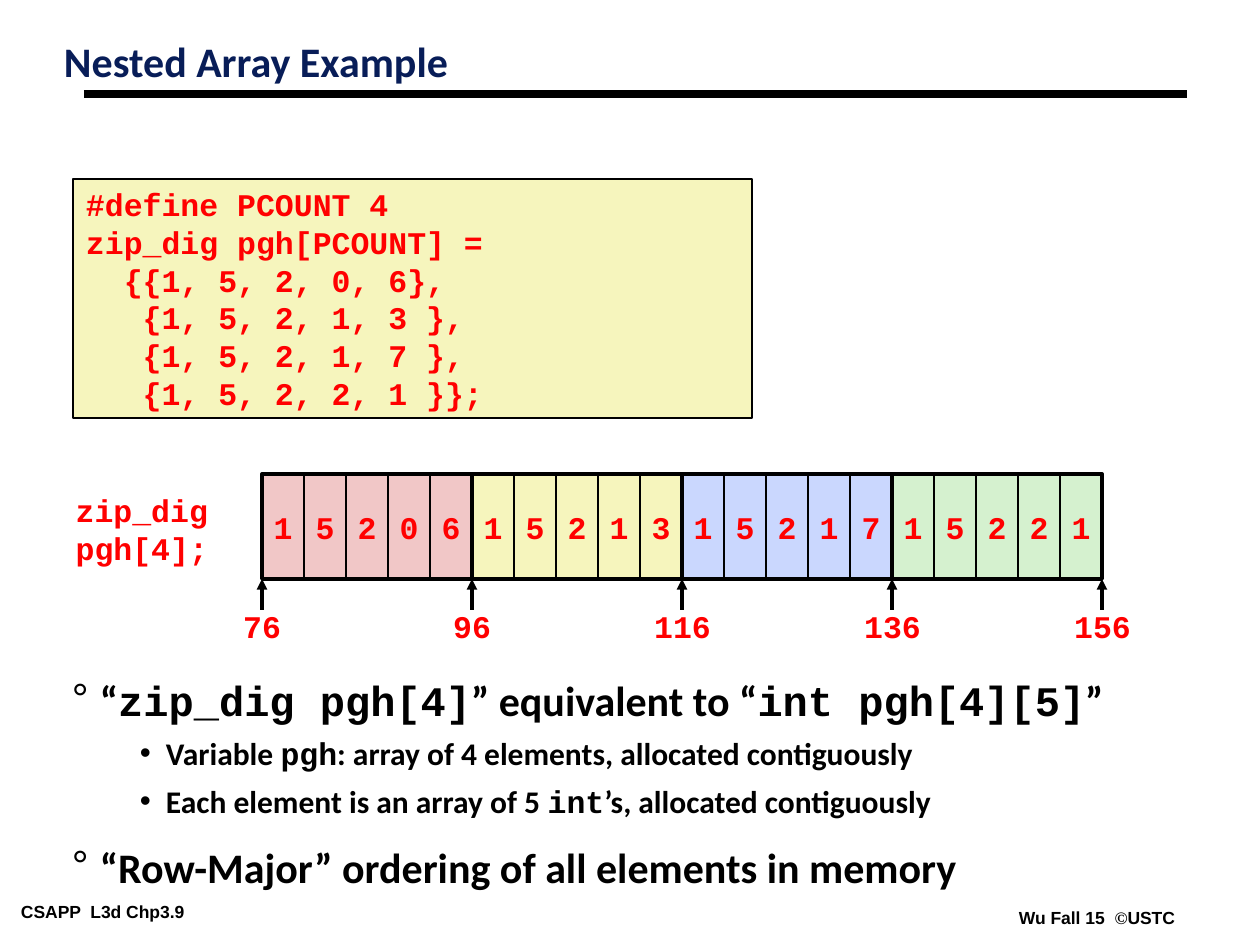
from dataclasses import dataclass

import pptx
import pptx.dml.color
import pptx.enum.shapes
import pptx.enum.text
import pptx.oxml.ns
import pptx.util
from lxml import etree

PX = 914400 / 126
RGB = pptx.dml.color.RGBColor
BLACK = RGB(0x00, 0x00, 0x00)
RED = RGB(0xFF, 0x00, 0x00)
NAVY = RGB(0x08, 0x1D, 0x58)
PINK = RGB(0xF1, 0xC7, 0xC7)
YELLOW = RGB(0xF6, 0xF5, 0xBD)
BLUE = RGB(0xCA, 0xD7, 0xFE)
GREEN = RGB(0xD5, 0xF1, 0xCF)

SANS, MONO, FOOT, SERIF = "Calibri", "Courier New", "Arial", "Times New Roman"
LEFT, CENTER, RIGHT = (pptx.enum.text.PP_ALIGN.LEFT, pptx.enum.text.PP_ALIGN.CENTER,
                       pptx.enum.text.PP_ALIGN.RIGHT)
TOP, MIDDLE = pptx.enum.text.MSO_ANCHOR.TOP, pptx.enum.text.MSO_ANCHOR.MIDDLE
GROW = pptx.enum.text.MSO_AUTO_SIZE.SHAPE_TO_FIT_TEXT
RECTANGLE = pptx.enum.shapes.MSO_SHAPE.RECTANGLE
STRAIGHT = pptx.enum.shapes.MSO_CONNECTOR.STRAIGHT

CELL_W, CELL_H = 42, 105
ARRAY_X, ARRAY_Y = 262, 474
FIRST_ADDRESS, INT_BYTES = 76, 4


@dataclass(frozen=True)
class Box:
    x: int
    y: int
    w: int
    h: int

    def emu(self) -> list[int]:
        return [px(v) for v in (self.x, self.y, self.w, self.h)]


@dataclass(frozen=True)
class ArrayRow:
    digits: str
    fill: RGB


@dataclass(frozen=True)
class Bullet:
    char: str
    margin: int
    indent: int
    level: int
    size: int
    spacing: float
    before: float


@dataclass(frozen=True)
class Item:
    bullet: Bullet
    runs: list[tuple[str, str]]


ROWS = [ArrayRow("15206", PINK), ArrayRow("15213", YELLOW),
        ArrayRow("15217", BLUE), ArrayRow("15221", GREEN)]

CODE = """#define PCOUNT 4
zip_dig pgh[PCOUNT] =
  {{1, 5, 2, 0, 6},
   {1, 5, 2, 1, 3 },
   {1, 5, 2, 1, 7 },
   {1, 5, 2, 2, 1 }};"""

MAIN = Bullet("°", 28, 28, 0, 24, 0.75, 19.5)
SUB = Bullet("•", 94, 26, 1, 18, 0.85, 9)
ITEMS = [
    Item(MAIN, [("“", SANS), ("zip_dig pgh[4]", MONO), ("” equivalent to “", SANS),
                ("int pgh[4][5]", MONO), ("”", SANS)]),
    Item(SUB, [("Variable ", SANS), ("pgh", MONO),
               (": array of 4 elements, allocated contiguously", SANS)]),
    Item(SUB, [("Each element is an array of 5 ", SANS), ("int", MONO),
               ("’s, allocated contiguously", SANS)]),
    Item(MAIN, [("“Row-Major” ordering of all elements in memory", SANS)]),
]


def px(n: float) -> int:
    return round(n * PX)


def add_run(p, text: str, font: str, size: float, color: RGB) -> None:
    r = p.add_run()
    r.text = text
    r.font.name, r.font.size, r.font.bold = font, pptx.util.Pt(size), True
    r.font.color.rgb = color


def set_frame(tf, inset: tuple[int, int], wrap: bool, anchor=TOP) -> None:
    tf.margin_left = tf.margin_right = px(inset[0])
    tf.margin_top = tf.margin_bottom = px(inset[1])
    tf.word_wrap, tf.vertical_anchor = wrap, anchor


def write(sp, text: str | list[tuple[str, str]], *, font=MONO, size=18, color=RED,
          align=LEFT, anchor=TOP, inset=(13, 6), wrap=False, spacing=None) -> None:
    """Fill a shape with lines of text, or with one line of (text, font) runs."""
    tf = sp.text_frame
    set_frame(tf, inset, wrap, anchor)
    lines = [[(t, font)] for t in text.split("\n")] if isinstance(text, str) else [text]
    for i, runs in enumerate(lines):
        p = tf.add_paragraph() if i else tf.paragraphs[0]
        p.alignment, p.line_spacing = align, spacing
        for t, face in runs:
            add_run(p, t, face, size, color)


def add_text(s, box: Box, text, *, wrap=False, **fmt) -> None:
    sp = s.shapes.add_textbox(*box.emu())
    write(sp, text, wrap=wrap, **fmt)
    if not wrap:
        sp.text_frame.auto_size = GROW


def add_rect(s, box: Box, fill: RGB | None, width: float):
    sp = s.shapes.add_shape(RECTANGLE, *box.emu())
    sp.shadow.inherit = False
    if fill is None:
        sp.fill.background()
    else:
        sp.fill.solid()
        sp.fill.fore_color.rgb = fill
    sp.line.color.rgb, sp.line.width = BLACK, pptx.util.Pt(width)
    return sp


def add_line(s, x1: int, y1: int, x2: int, y2: int, width: float, arrow=False) -> None:
    c = s.shapes.add_connector(STRAIGHT, px(x1), px(y1), px(x2), px(y2))
    c.line.color.rgb, c.line.width = BLACK, pptx.util.Pt(width)
    if arrow:
        etree.SubElement(c.line._get_or_add_ln(), pptx.oxml.ns.qn("a:tailEnd"), type="triangle")
    etree.SubElement(c._element.spPr, pptx.oxml.ns.qn("a:effectLst"))


def set_bullet(p, bullet: Bullet) -> None:
    pPr = p._p.get_or_add_pPr()
    pPr.set("marL", str(px(bullet.margin)))
    pPr.set("indent", str(-px(bullet.indent)))
    color = etree.SubElement(pPr, pptx.oxml.ns.qn("a:buClr"))
    etree.SubElement(color, pptx.oxml.ns.qn("a:srgbClr"), val=str(BLACK))
    etree.SubElement(pPr, pptx.oxml.ns.qn("a:buFont"), typeface=FOOT)
    etree.SubElement(pPr, pptx.oxml.ns.qn("a:buChar"), char=bullet.char)


def add_bullets(s, box: Box, items: list[Item]) -> None:
    tf = s.shapes.add_textbox(*box.emu()).text_frame
    set_frame(tf, (9, 4), True)
    for i, item in enumerate(items):
        b = item.bullet
        p = tf.add_paragraph() if i else tf.paragraphs[0]
        set_bullet(p, b)
        p.level, p.line_spacing = b.level, b.spacing
        p.space_before = pptx.util.Pt(b.before if i else 0)
        for text, font in item.runs:
            add_run(p, text, font, b.size, BLACK)


def add_address(s, x: int, address: int) -> None:
    text = str(address)
    w = 30 + 19 * len(text)
    bottom = ARRAY_Y + CELL_H
    add_line(s, x, bottom + 31, x, bottom, 2, arrow=True)
    add_text(s, Box(x - w // 2, bottom + 22, w, 50), text, align=CENTER)


def add_array(s, rows: list[ArrayRow]) -> None:
    row_len = len(rows[0].digits)
    row_w = row_len * CELL_W
    for i in range(len(rows) + 1):
        add_address(s, ARRAY_X + i * row_w, FIRST_ADDRESS + i * row_len * INT_BYTES)
    for i, row in enumerate(rows):
        for j, digit in enumerate(row.digits):
            box = Box(ARRAY_X + i * row_w + j * CELL_W, ARRAY_Y, CELL_W, CELL_H)
            write(add_rect(s, box, row.fill, 1), digit, align=CENTER, anchor=MIDDLE)
    for i in range(len(rows)):
        add_rect(s, Box(ARRAY_X + i * row_w, ARRAY_Y, row_w, CELL_H), None, 2.25)


def main() -> None:
    prs = pptx.Presentation()
    prs.slide_width, prs.slide_height = px(1260), px(945)
    s = prs.slides.add_slide(prs.slide_layouts[6])

    footer = dict(size=10, color=BLACK, inset=(9, 4))
    add_text(s, Box(12, 897, 256, 28), "CSAPP  L3d Chp3.9", font=FOOT, wrap=True, **footer)
    add_text(s, Box(1010, 903, 174, 28),
             [("Wu Fall 15  ", FOOT), ("©", SERIF), ("USTC", FOOT)], **footer)
    add_line(s, 84, 94, 1187, 94, 4.5)
    add_text(s, Box(55, 38, 878, 79), "Nested Array Example", font=SANS, size=24,
             color=NAVY, inset=(9, 4), wrap=True, spacing=0.87)
    add_bullets(s, Box(63, 682, 1103, 262), ITEMS)
    write(add_rect(s, Box(73, 179, 679, 239), YELLOW, 1), CODE, wrap=True)
    add_text(s, Box(59, 485, 162, 88), "zip_dig\npgh[4];", align=RIGHT)
    add_array(s, ROWS)
    prs.save("out.pptx")


if __name__ == "__main__":
    main()
